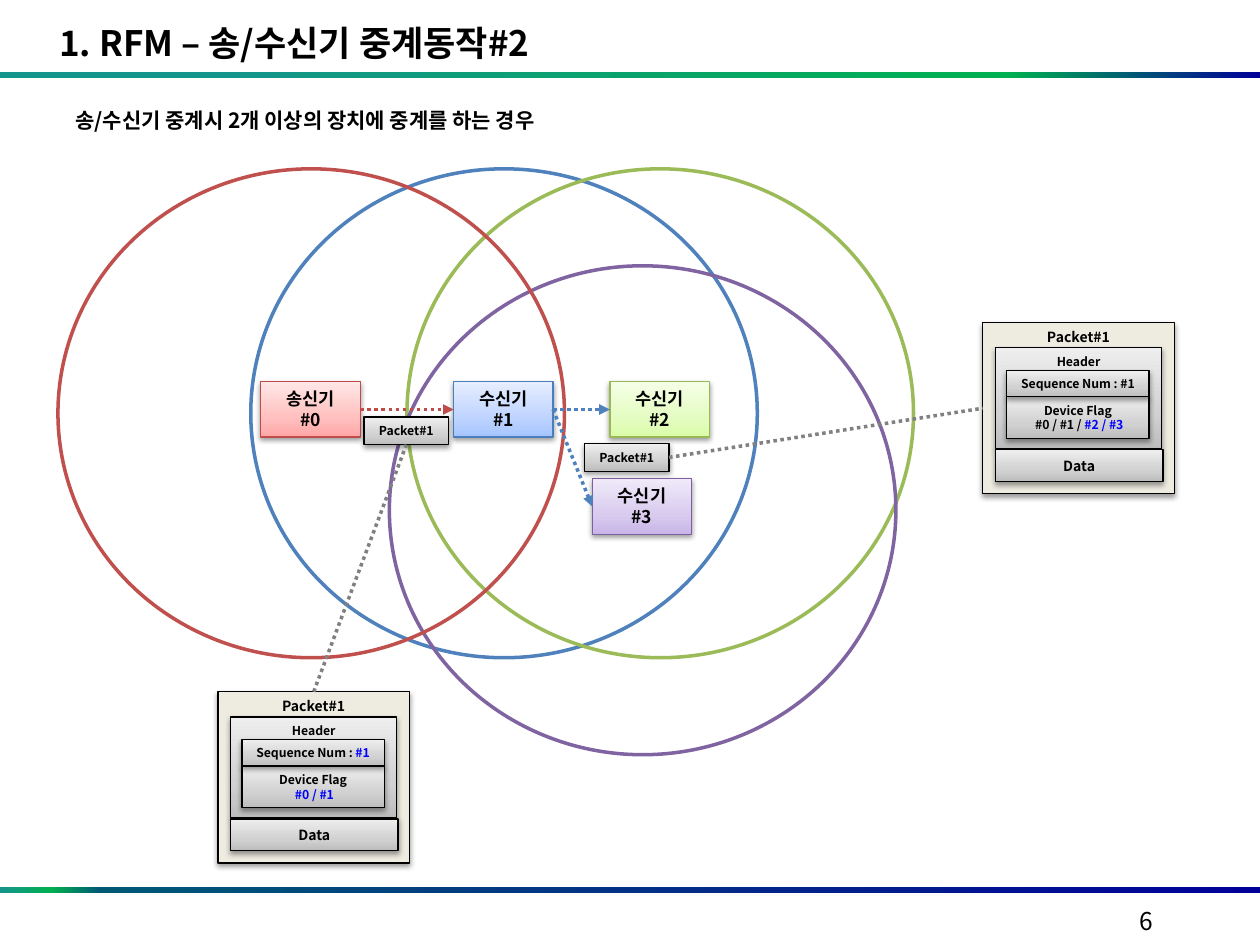
from dataclasses import dataclass
from typing import NamedTuple, Optional

from lxml.etree import SubElement
from pptx import Presentation
from pptx.dml.color import RGBColor
from pptx.enum.dml import MSO_LINE_DASH_STYLE as Dash
from pptx.enum.shapes import MSO_CONNECTOR as Connector, MSO_SHAPE as Preset
from pptx.enum.text import MSO_ANCHOR as Anchor, PP_ALIGN as Align
from pptx.oxml.ns import qn
from pptx.util import Inches, Pt


@dataclass(frozen=True)
class Theme:
    font: str = "Noto Sans CJK KR"
    ink: str = "000000"
    accent: str = "0000FF"
    card: str = "EEECE1"
    link: str = "808080"
    blue: str = "4F81BD"
    red: str = "BF4C48"
    grey: tuple = ((0, "BDBDBD"), (35, "D1D1D1"), (100, "EEEEEE"))
    top_bar: tuple = ((0, "15938D"), (15, "15938D"), (80, "00B050"), (100, "000099"))
    bottom_bar: tuple = ((0, "15938D"), (4, "00B050"), (8, "005875"), (100, "000099"))
    title: int = 20
    number: int = 14
    subtitle: int = 12
    node: int = 10
    label: int = 8
    small: int = 7


THEME = Theme()


class Area(NamedTuple):
    left: float
    top: float
    width: float
    height: float

    def inches(self):
        return [Inches(value) for value in self]


class Span(NamedTuple):
    text: str
    color: str = THEME.ink


@dataclass(frozen=True)
class Node:
    name: str
    number: str
    left: float
    top: float
    stops: tuple
    border: str
    ring: str


@dataclass(frozen=True)
class Packet:
    left: float
    top: float
    sequence: tuple
    flags: tuple


NODES = [
    Node("수신기", "#1", 3.6, 3.03, ((0, "A4C4FF"), (35, "BFD4FF"), (100, "E6EEFF")), "4B7EBC", THEME.blue),
    Node("수신기", "#2", 4.84, 3.03, ((0, "DAFDA7"), (35, "E4FCC2"), (100, "F5FFE7")), "98B955", "9BBB59"),
    Node("수신기", "#3", 4.7, 3.8, ((0, "C9B5E8"), (35, "D8CBEE"), (100, "F0EAF9")), "7D60A0", "8064A2"),
    Node("송신기", "#0", 2.07, 3.03, ((0, "FFA6A5"), (35, "FFC0BF"), (100, "FFE7E7")), THEME.red, "C0504D"),
]
FIRST_PACKET = Packet(1.73, 5.49, (Span("Sequence Num : "), Span("#1", THEME.accent)),
                      (Span(" #0 / #1", THEME.accent),))
SECOND_PACKET = Packet(7.8, 2.56, (Span("Sequence Num : #1"),),
                       (Span(" #0 / #1 / "), Span("#2 / #3", THEME.accent)))


def write(shape, lines: list, size: int, bold: bool = True, align=Align.CENTER,
          anchor=Anchor.MIDDLE, wrap: bool = True) -> None:
    """Fill a shape with paragraphs, each one a tuple of spans."""
    frame = shape.text_frame
    frame.word_wrap = wrap
    frame.vertical_anchor = anchor
    frame.text = "\n".join("" for _ in lines)
    for para, spans in zip(frame.paragraphs, lines):
        para.alignment = align
        for span in spans:
            run = para.add_run()
            run.text = span.text
            font = run.font
            font.name, font.size, font.bold = THEME.font, Pt(size), bold
            font.color.rgb = RGBColor.from_string(span.color)
            SubElement(run._r.get_or_add_rPr(), qn("a:ea"), typeface=THEME.font)


def add_gradient(shape, stops: tuple, angle: int) -> None:
    shape.fill.gradient()
    shape.fill.gradient_angle = angle
    stop_list = shape._element.spPr.find(".//" + qn("a:gsLst"))
    for stop in list(stop_list):
        stop_list.remove(stop)
    for position, color in stops:
        stop = SubElement(stop_list, qn("a:gs"), pos=str(position * 1000))
        SubElement(stop, qn("a:srgbClr"), val=color)


def add_shadow(shape) -> None:
    effects = shape._element.spPr.find(qn("a:effectLst"))
    shadow = SubElement(effects, qn("a:outerShdw"), blurRad=str(Pt(3.1)), dist=str(Pt(1.6)),
                        dir="5400000", rotWithShape="0")
    color = SubElement(shadow, qn("a:srgbClr"), val=THEME.ink)
    SubElement(color, qn("a:alpha"), val="38000")


def add_bar(page, top: float, stops: tuple) -> None:
    bar = page.shapes.add_shape(Preset.RECTANGLE, *Area(0, top, 10, 0.05).inches())
    bar.shadow.inherit = False
    bar.line.fill.background()
    add_gradient(bar, stops, 0)


def add_box(page, area: Area, lines: list, size: int, stops: Optional[tuple] = THEME.grey,
            border: str = THEME.ink, anchor=Anchor.MIDDLE):
    """Shaded rectangle; without stops it takes the plain card colour."""
    box = page.shapes.add_shape(Preset.RECTANGLE, *area.inches())
    box.shadow.inherit = False
    if stops:
        add_gradient(box, stops, 90)
    else:
        box.fill.solid()
        box.fill.fore_color.rgb = RGBColor.from_string(THEME.card)
    box.line.color.rgb = RGBColor.from_string(border)
    box.line.width = Pt(0.75)
    add_shadow(box)
    box.text_frame.margin_left = box.text_frame.margin_right = Inches(0.05)
    write(box, lines, size, anchor=anchor)
    return box


def add_node(page, node: Node):
    """Device box in the middle of its radio range."""
    box = add_box(page, Area(node.left, node.top, 0.79, 0.44),
                  [(Span(node.name),), (Span(node.number),)], THEME.node, node.stops, node.border)
    ring_area = Area(node.left - 1.61, node.top - 1.69, 4.02, 3.88)
    ring = page.shapes.add_shape(Preset.OVAL, *ring_area.inches())
    ring.shadow.inherit = False
    ring.fill.background()
    ring.line.color.rgb = RGBColor.from_string(node.ring)
    ring.line.width = Pt(2)
    return box


def add_packet(page, packet: Packet):
    """Card with the packet layout; returns its outer frame."""
    def part(left, top, width, height, lines, size, **options):
        area = Area(packet.left + left, packet.top + top, width, height)
        return add_box(page, area, lines, size, **options)

    card = part(0, 0, 1.52, 1.36, [(Span("Packet#1"),)], THEME.label, stops=None, anchor=Anchor.TOP)
    part(0.1, 0.2, 1.32, 0.8, [(Span("Header"),)], THEME.small, anchor=Anchor.TOP)
    part(0.1, 1.01, 1.33, 0.25, [(Span("Data"),)], THEME.label)
    part(0.19, 0.59, 1.13, 0.33, [(Span("Device Flag"),), packet.flags], THEME.small)
    part(0.19, 0.38, 1.13, 0.21, [packet.sequence], THEME.small)
    return card


def add_tag(page, left: float, top: float):
    return add_box(page, Area(left, top, 0.67, 0.22), [(Span("Packet#1"),)], THEME.small)


def add_link(page, start, start_side: int, end, end_side: int, color: str, arrow: bool = False) -> None:
    link = page.shapes.add_connector(Connector.STRAIGHT, 0, 0, 0, 0)
    link.begin_connect(start, start_side)
    link.end_connect(end, end_side)
    link.line.color.rgb = RGBColor.from_string(color)
    link.line.width = Pt(2)
    link.line.dash_style = Dash.ROUND_DOT
    if arrow:
        SubElement(link.line._get_or_add_ln(), qn("a:tailEnd"), type="triangle")
    SubElement(link._element.spPr, qn("a:effectLst"))


def add_text(page, area: Area, text: str, size: int, margin: bool = True, **options) -> None:
    box = page.shapes.add_textbox(*area.inches())
    if not margin:
        frame = box.text_frame
        frame.margin_left = frame.margin_right = frame.margin_top = frame.margin_bottom = 0
    write(box, [(Span(text),)], size, **options)


def main() -> None:
    deck = Presentation()
    deck.slide_width, deck.slide_height = Inches(10), Inches(7.5)
    page = deck.slides.add_slide(deck.slide_layouts[6])

    # Bars, title and page number
    add_bar(page, 7.04, THEME.bottom_bar)
    add_bar(page, 0.57, THEME.top_bar)
    add_text(page, Area(0.47, 0.17, 4.07, 0.34), "1. RFM – 송/수신기 중계동작#2", THEME.title,
             margin=False, align=Align.LEFT, wrap=False)
    add_text(page, Area(7.17, 7.14, 2.08, 0.5), "6", THEME.number,
             bold=False, align=Align.RIGHT, anchor=Anchor.TOP)

    # Devices and the relays between them
    receiver1, receiver2, receiver3, sender = [add_node(page, node) for node in NODES]
    add_link(page, sender, 3, receiver1, 1, THEME.red, arrow=True)
    for receiver in (receiver2, receiver3):
        add_link(page, receiver1, 3, receiver, 1, THEME.blue, arrow=True)

    # Packets and their details
    first_card = add_packet(page, FIRST_PACKET)
    first_tag, second_tag = add_tag(page, 2.89, 3.31), add_tag(page, 4.64, 3.52)
    second_card = add_packet(page, SECOND_PACKET)
    add_link(page, first_card, 0, first_tag, 2, THEME.link)
    add_link(page, second_tag, 3, second_card, 1, THEME.link)

    # Subtitle
    add_text(page, Area(0.5, 0.8, 8.84, 0.3), "송/수신기 중계시 2개 이상의 장치에 중계를 하는 경우",
             THEME.subtitle, align=Align.LEFT)

    deck.save("out.pptx")


if __name__ == "__main__":
    main()
